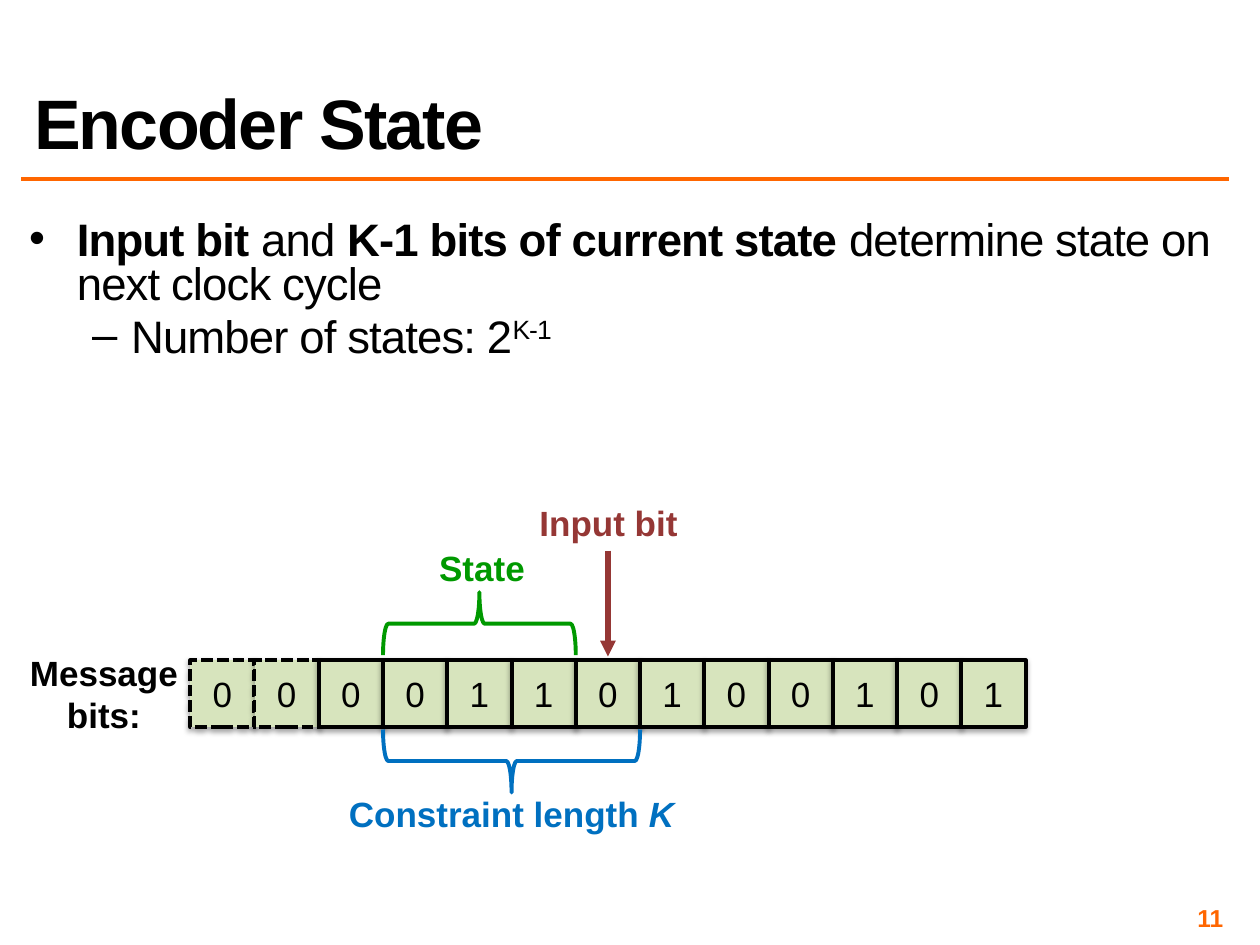
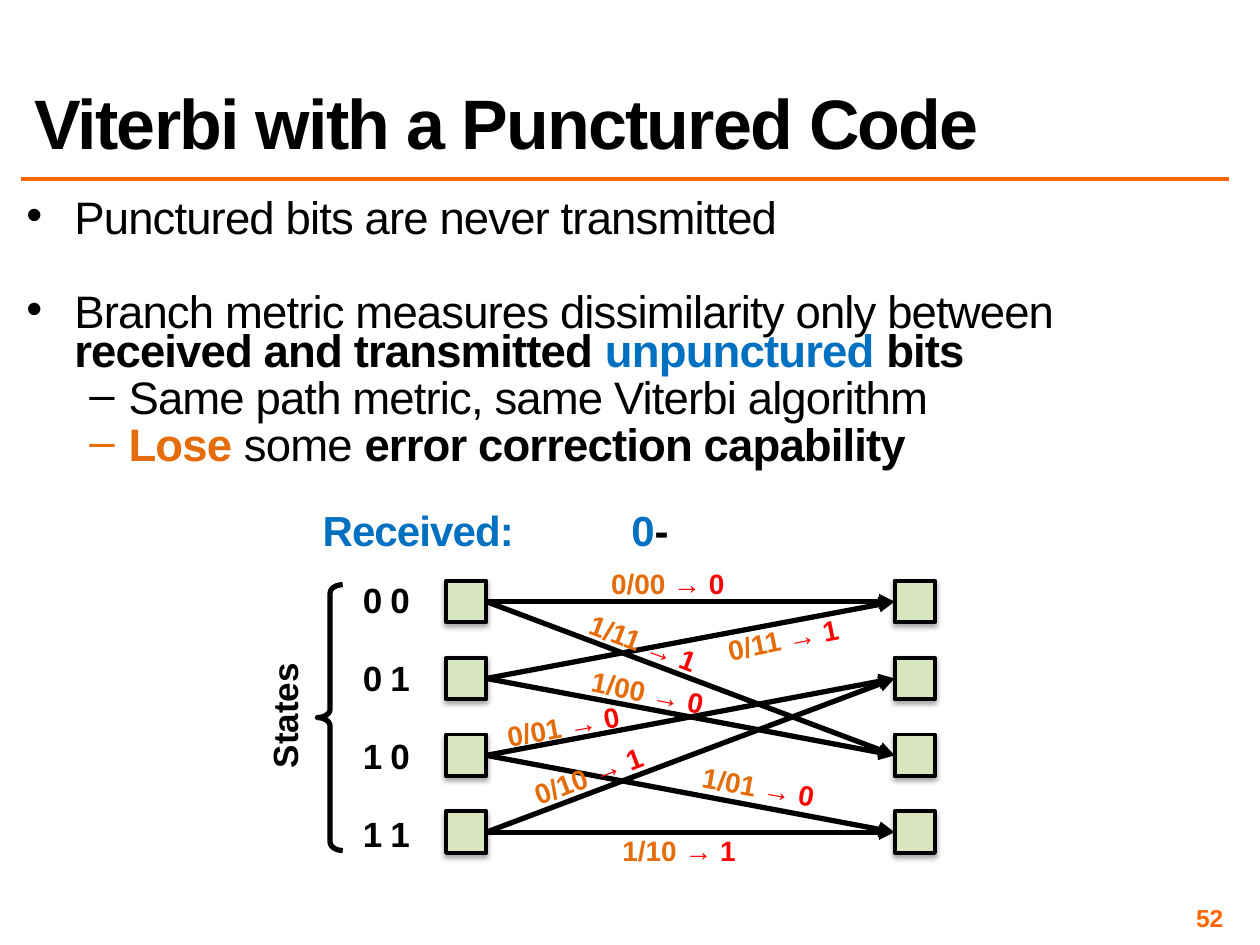
from dataclasses import dataclass

from lxml.etree import SubElement
from pptx import Presentation
from pptx.dml.color import RGBColor
from pptx.enum.dml import MSO_LINE_DASH_STYLE as Dash
from pptx.enum.shapes import MSO_CONNECTOR as Connector, MSO_SHAPE as Preset
from pptx.enum.text import MSO_ANCHOR as Anchor, MSO_AUTO_SIZE as AutoSize, PP_ALIGN as Align
from pptx.oxml.ns import qn
from pptx.util import Inches, Pt


@dataclass(frozen=True)
class Theme:
    """Colours, font and type sizes shared by the slides."""
    font: str = "Arial"
    ink: str = "000000"
    accent: str = "FF6600"
    cell: str = "D7E4BD"
    state: str = "009900"
    blue: str = "0070C0"
    input: str = "953735"
    orange: str = "E46C0A"
    red: str = "FF0000"
    title_size: int = 40
    body_size: int = 26
    received_size: int = 24
    label_size: int = 20
    branch_size: int = 16
    page_size: int = 14
    thin: float = 2.25
    thick: float = 3


@dataclass(frozen=True)
class Box:
    """A rectangle in inches."""
    left: float
    top: float
    width: float
    height: float

    def inner(self, dx, dy, width, height):
        """Return a box placed relative to this one."""
        return Box(self.left + dx, self.top + dy, width, height)

    def lengths(self):
        """Return left, top, width and height as lengths."""
        return [Inches(v) for v in (self.left, self.top, self.width, self.height)]


THEME = Theme()
TITLE_BOX = Box(0.17, 0.17, 9.58, 1.17)
PAGE_BOX = Box(7.42, 7.17, 2.33, 0.23)
TIGHT = {f"margin_{side}": Inches(0.04) for side in ("left", "top", "right", "bottom")}
BOLD = {"bold": True}
BULLETS = [("•", 0.38, -0.38), ("–", 0.81, -0.31)]


def assign(target, values):
    """Set each named attribute of the target."""
    for name, value in values.items():
        setattr(target, name, value)


def write_runs(paragraph, runs, size, color=THEME.ink, spacing=0, **shared):
    """Write (text, style) runs over a shared style."""
    for text, own in runs:
        style = {**shared, **own}
        tint = style.pop("color", color)
        baseline = style.pop("baseline", 0)
        run = paragraph.add_run()
        run.text = text
        assign(run.font, {"name": THEME.font, "size": Pt(size), "bold": False, **style})
        run.font.color.rgb = RGBColor.from_string(tint)
        properties = run.font._element
        for name, value in (("spc", int(spacing * 100)), ("baseline", baseline)):
            if value:
                properties.set(name, str(value))


def add_label(slide, box, lines, size=THEME.label_size, align=Align.CENTER,
              rotation=0, frame=None, **style):
    """Add a bold text box with one list of runs for each line."""
    label = slide.shapes.add_textbox(*box.lengths())
    label.rotation = rotation
    assign(label.text_frame, {"word_wrap": True, **(frame or {})})
    for index, runs in enumerate(lines):
        paragraph = label.text_frame.add_paragraph() if index else label.text_frame.paragraphs[0]
        paragraph.alignment = align
        write_runs(paragraph, runs, size, **{**BOLD, **style})
    return label


def add_line(slide, start, end, color, width, arrow=False):
    """Draw a straight line, with an arrowhead at its end if asked."""
    line = slide.shapes.add_connector(Connector.STRAIGHT, *(Inches(v) for v in (*start, *end)))
    line.line.color.rgb = RGBColor.from_string(color)
    line.line.width = Pt(width)
    properties = line.element.spPr
    if arrow:
        SubElement(properties.find(qn("a:ln")), qn("a:tailEnd"), type="triangle")
    SubElement(properties, qn("a:effectLst"))


def add_cell(slide, box, digit="", dashed=False):
    """Draw a green square with a soft shadow and an optional digit."""
    cell = slide.shapes.add_shape(Preset.RECTANGLE, *box.lengths())
    cell.fill.solid()
    cell.fill.fore_color.rgb = RGBColor.from_string(THEME.cell)
    cell.line.color.rgb = RGBColor.from_string(THEME.ink)
    cell.line.width = Pt(THEME.thin)
    if dashed:
        cell.line.dash_style = Dash.SQUARE_DOT
    cell.shadow.inherit = False
    effects = cell.element.spPr.find(qn("a:effectLst"))
    shadow = SubElement(effects, qn("a:outerShdw"), blurRad="39400", dist="22900",
                        dir="5400000", rotWithShape="0")
    tint = SubElement(shadow, qn("a:srgbClr"), val=THEME.ink)
    SubElement(tint, qn("a:alpha"), val="35000")
    if digit:
        cell.text_frame.vertical_anchor = Anchor.MIDDLE
        paragraph = cell.text_frame.paragraphs[0]
        paragraph.alignment = Align.CENTER
        write_runs(paragraph, [(digit, {})], THEME.label_size)


def add_brace(slide, preset, box, color, width, rotation=0, curve=None):
    """Draw an unfilled brace."""
    brace = slide.shapes.add_shape(preset, *box.lengths())
    brace.rotation = rotation
    brace.fill.background()
    brace.line.color.rgb = RGBColor.from_string(color)
    brace.line.width = Pt(width)
    brace.shadow.inherit = False
    if curve:
        brace.adjustments[0] = curve


def place(shape, box):
    """Move and size a placeholder."""
    assign(shape, dict(zip(("left", "top", "width", "height"), box.lengths())))


def start_slide(deck, title, page):
    """Add a slide with the shared title, rule and page number."""
    slide = deck.slides.add_slide(deck.slide_layouts[1])
    heading = slide.shapes.title
    place(heading, TITLE_BOX)
    assign(heading.text_frame, {"vertical_anchor": Anchor.BOTTOM, "auto_size": AutoSize.NONE})
    paragraph = heading.text_frame.paragraphs[0]
    assign(paragraph, {"alignment": Align.LEFT, "line_spacing": 0.8})
    write_runs(paragraph, [(title, BOLD)], THEME.title_size, spacing=-1)
    add_line(slide, (0.17, 1.42), (9.75, 1.42), THEME.accent, 2)
    add_label(slide, PAGE_BOX, [[(page, {})]], THEME.page_size, Align.RIGHT,
              frame={**TIGHT, "vertical_anchor": Anchor.MIDDLE}, color=THEME.accent)
    return slide


def fill_body(slide, box, items, line_spacing):
    """Fill the body placeholder with (level, space before, runs) items."""
    body = slide.placeholders[1]
    place(body, box)
    assign(body.text_frame, {**TIGHT, "auto_size": AutoSize.NONE,
                             "vertical_anchor": Anchor.TOP})
    for index, (level, before, runs) in enumerate(items):
        paragraph = body.text_frame.add_paragraph() if index else body.text_frame.paragraphs[0]
        assign(paragraph, {"level": level, "line_spacing": line_spacing,
                           "space_before": Pt(before), "alignment": Align.LEFT})
        mark, margin, indent = BULLETS[level]
        properties = paragraph._p.get_or_add_pPr()
        properties.set("marL", str(Inches(margin)))
        properties.set("indent", str(Inches(indent)))
        SubElement(properties, qn("a:buFont"), typeface=THEME.font)
        SubElement(properties, qn("a:buChar"), char=mark)
        write_runs(paragraph, runs, THEME.body_size, spacing=-0.5)


def draw_message_bits(slide, box):
    """Draw the message bits with the state, input bit and constraint length marked."""
    bits, padding, side, depth = "0000110100101", 2, 0.51, 0.5
    row_dx, row_dy = 1.38, 1.31
    for index, bit in enumerate(bits):
        add_cell(slide, box.inner(row_dx + index * side, row_dy, side, 0.53), bit, index < padding)
    first = 3
    for count, preset, dy, rotation, color in (
            (3, Preset.RIGHT_BRACE, 1.02, 270, THEME.state),
            (4, Preset.RIGHT_BRACE, 2.11, 90, THEME.blue)):
        span = count * side
        middle = row_dx + first * side + span / 2
        add_brace(slide, preset, box.inner(middle - depth / 2, dy - span / 2, depth, span),
                  color, THEME.thin, rotation)
    input_x = box.left + row_dx + 6.5 * side
    add_line(slide, (input_x, box.top + 0.44), (input_x, box.top + 1.28),
             THEME.input, THEME.thick, arrow=True)
    for dx, dy, width, height, color, lines in (
            (3.25, 0.36, 0.89, 0.44, THEME.state, [[("State", {})]]),
            (2.53, 2.31, 2.8, 0.44, THEME.blue,
             [[("Constraint length ", {}), ("K", {"italic": True})]]),
            (3.84, 0, 1.72, 0.44, THEME.input, [[("Input bit", {})]]),
            (0, 1.19, 1.39, 0.77, THEME.ink, [[("Message", {})], [("bits:", {})]])):
        add_label(slide, box.inner(dx, dy, width, height), lines, color=color,
                  frame={"word_wrap": False})


def draw_received(slide, box):
    """Write the received bits, set apart by a tab stop."""
    received = add_label(slide, box, [[("Received:\t0", {}), ("-", {"color": THEME.ink})]],
                         THEME.received_size, Align.LEFT, frame=TIGHT,
                         color=THEME.blue, spacing=-0.5)
    properties = received.text_frame.paragraphs[0]._p.get_or_add_pPr()
    tabs = SubElement(properties, qn("a:tabLst"))
    SubElement(tabs, qn("a:tab"), pos=str(Inches(2.45)), algn="l")


def draw_trellis(slide, box):
    """Draw one trellis step with its states, branches and branch labels."""
    states = ("0 0", "0 1", "1 0", "1 1")
    from_dx, to_dx, row_dy, pitch, width, height = 1.8, 5.36, 0.16, 0.61, 0.32, 0.33
    add_brace(slide, Preset.LEFT_BRACE, box.inner(0.78, 0.19, 0.2, 2.11),
              THEME.ink, THEME.thick, curve=0.337)
    add_label(slide, box.inner(0, 1.01, 1.04, 0.44), [[("States", {})]],
              rotation=270, frame={"word_wrap": False})

    def middle(row):
        """Return the height of the centre of a row."""
        return box.top + row_dy + row * pitch + height / 2

    for row, state in enumerate(states):
        add_label(slide, box.inner(1.1, 0.1 + row * 0.62, 0.59, 0.58), [[(state, {})]],
                  align=Align.LEFT, frame=TIGHT, spacing=-0.5)
        for target in (row // 2, row // 2 + 2):
            add_line(slide, (box.left + from_dx + width, middle(row)),
                     (box.left + to_dx, middle(target)), THEME.ink, THEME.thick, arrow=True)
    for row in range(len(states)):
        for dx in (from_dx, to_dx):
            add_cell(slide, box.inner(dx, row_dy + row * pitch, width, height))
    for branch, sent, dx, dy, span, rotation in (
            ("0/00", "0", 2.87, 0, 1.38, 0),
            ("1/11", "1", 2.8, 0.47, 1.13, 20.5),
            ("0/11", "1", 3.9, 0.44, 1.15, 348.6),
            ("1/00", "0", 2.77, 0.86, 1.26, 11.3),
            ("0/01", "0", 2.11, 1.13, 1.24, 349.6),
            ("1/01", "0", 3.71, 1.61, 1.14, 10.3),
            ("0/10", "1", 2.29, 1.52, 1.28, 339.3),
            ("1/10", "1", 3.1, 2.12, 1.1, 0)):
        add_label(slide, box.inner(dx, dy, span, 0.37),
                  [[(f"{branch} ", {}), (f"→ {sent}", {"color": THEME.red})]],
                  THEME.branch_size, rotation=rotation, color=THEME.orange)


def build_encoder_state(deck):
    """Build the slide on the encoder state."""
    slide = start_slide(deck, "Encoder State", "11")
    fill_body(slide, Box(0.19, 1.72, 9.56, 1.78), [
        (0, 5.2, [("Input bit", BOLD), (" and ", {}), ("K-1 bits of current state ", BOLD),
                  ("determine state on next clock cycle", {})]),
        (1, 5.2, [("Number of states: 2", {}), ("K-1", {"baseline": 30000})]),
    ], 0.8)
    draw_message_bits(slide, Box(0.13, 3.93, 8.01, 2.75))


def build_punctured_code(deck):
    """Build the slide on Viterbi decoding of a punctured code."""
    slide = start_slide(deck, "Viterbi with a Punctured Code", "52")
    fill_body(slide, Box(0.17, 1.58, 9.58, 2.3), [
        (0, 5.2, [("Punctured bits are never transmitted", {})]),
        (0, 32, [("Branch metric measures dissimilarity only between ", {}),
                 ("received and transmitted ", BOLD),
                 ("unpunctured ", {**BOLD, "color": THEME.blue}), ("bits", BOLD)]),
        (1, 5.2, [("Same path metric, same Viterbi algorithm", {})]),
        (1, 5.2, [("Lose", {**BOLD, "color": THEME.orange}), (" some ", {}),
                  ("error correction capability", BOLD)]),
    ], 0.7)
    draw_received(slide, Box(2.52, 3.96, 3.59, 0.58))
    draw_trellis(slide, Box(1.74, 4.45, 5.68, 2.56))


def main():
    """Build and save the deck."""
    deck = Presentation()
    assign(deck, {"slide_width": Inches(10), "slide_height": Inches(7.5)})
    build_encoder_state(deck)
    build_punctured_code(deck)
    deck.save("out.pptx")


if __name__ == "__main__":
    main()
